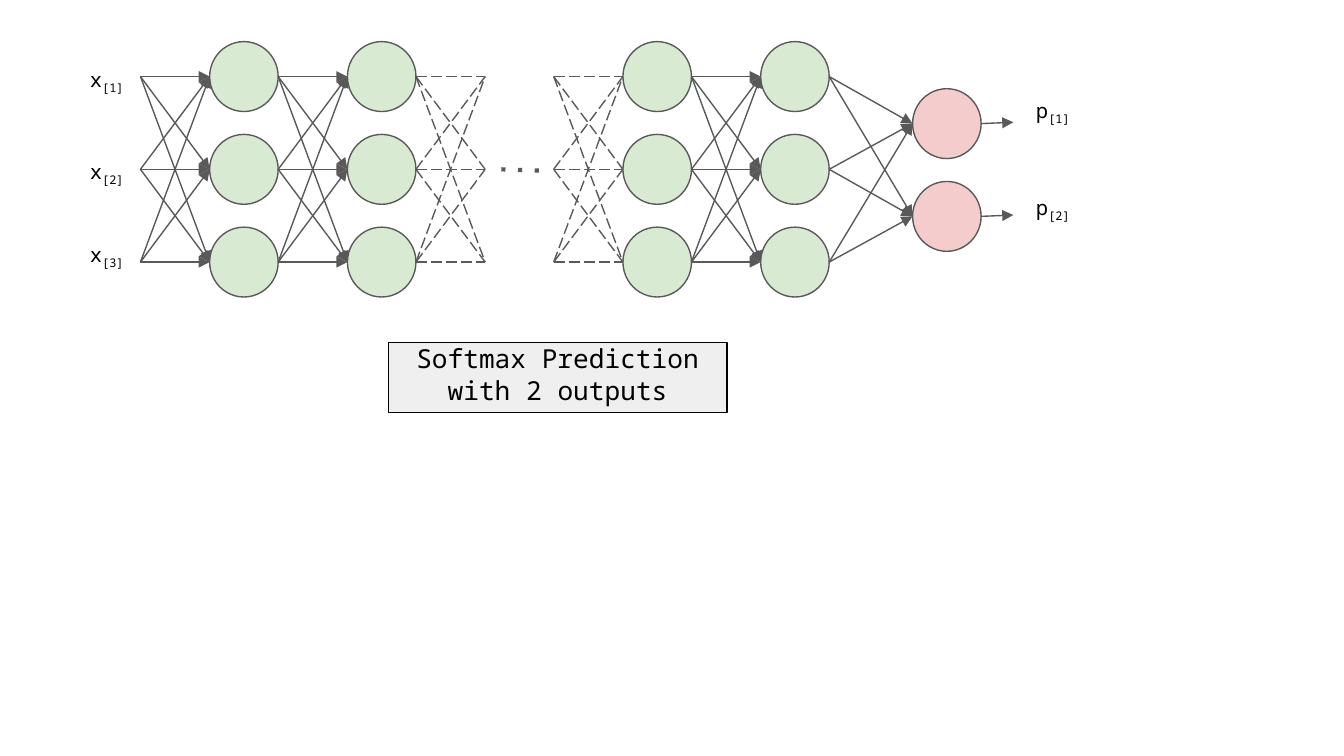
from dataclasses import dataclass
from itertools import product

from lxml import etree
from pptx import Presentation, util as u
from pptx.dml.color import RGBColor
from pptx.enum import shapes as sh, text as tx
from pptx.oxml import ns


@dataclass(frozen=True)
class Theme:
    font: str = "Noto Sans Mono"
    ink: str = "000000"
    edge: str = "595959"
    green: str = "D9EAD3"
    pink: str = "F4CCCC"
    gray: str = "EFEFEF"
    label: float = 11
    note: float = 14
    thin: float = 0.75
    thick: float = 2.25


@dataclass(frozen=True)
class Layer:
    left: float
    rows: tuple[float, ...]
    fill: str

    @property
    def right(self) -> float:
        return self.left + WIDE


@dataclass(frozen=True)
class Label:
    name: str
    index: int
    left: float
    top: float


@dataclass(frozen=True)
class Mesh:
    start: float
    end: float
    tops: tuple[float, ...]
    ends: tuple[float, ...]
    solid: bool = True


T = Theme()
WIDE, HIGH = 0.51, 0.52    # neuron size
PITCH = 4.1 / 4            # step from layer to layer
GAP = PITCH - WIDE         # space between layers
ROWS = (0.57, 1.26, 1.95)  # neuron centres
OUTS = (0.92, 1.61)

HIDDEN = [Layer(1.56 + PITCH * k, ROWS, T.green) for k in (0, 1, 3, 4)]
OUTPUT = Layer(6.79, OUTS, T.pink)
ONE, TWO, THREE, FOUR = HIDDEN

MESHES = [
    Mesh(ONE.left - GAP, ONE.left, ROWS, ROWS),
    Mesh(ONE.right, TWO.left, ROWS, ROWS),
    Mesh(TWO.right, TWO.right + GAP, ROWS, ROWS, solid=False),
    Mesh(THREE.left - GAP, THREE.left, ROWS, ROWS, solid=False),
    Mesh(THREE.right, FOUR.left, ROWS, ROWS),
    Mesh(FOUR.right, OUTPUT.left, ROWS, OUTS),
]

LABELS = [
    Label("x", 1, 0.57, 0.5),
    Label("x", 2, 0.57, 1.18),
    Label("x", 3, 0.57, 1.8),
    Label("p", 1, 7.61, 0.73),
    Label("p", 2, 7.61, 1.45),
]


def add_box(slide, kind, left: float, top: float, wide: float, high: float,
            fill: str, edge: str):
    box = slide.shapes.add_shape(kind, *map(u.Inches, (left, top, wide, high)))
    box.shadow.inherit = False
    box.fill.solid()
    box.fill.fore_color.rgb = RGBColor.from_string(fill)
    box.line.color.rgb = RGBColor.from_string(edge)
    box.line.width = u.Pt(T.thin)
    return box


def add_line(slide, x1: float, y1: float, x2: float, y2: float,
             dash: str = "", head: bool = False, width: float = T.thin) -> None:
    line = slide.shapes.add_connector(
        sh.MSO_CONNECTOR.STRAIGHT, *map(u.Inches, (x1, y1, x2, y2)))
    line.line.color.rgb = RGBColor.from_string(T.edge)
    line.line.width = u.Pt(width)
    pen = line.line._get_or_add_ln()
    if dash:
        etree.SubElement(pen, ns.qn("a:prstDash"), val=dash)
    if head:
        etree.SubElement(pen, ns.qn("a:tailEnd"), type="triangle")
    etree.SubElement(line._element.spPr, ns.qn("a:effectLst"))


def set_frame(frame) -> None:
    frame.word_wrap = True
    frame.vertical_anchor = tx.MSO_ANCHOR.TOP
    frame.margin_left = frame.margin_right = u.Inches(0.1)
    frame.margin_top = frame.margin_bottom = 0


def add_run(para, words: str, size: float, base: int = 0) -> None:
    run = para.add_run()
    run.text = words
    run.font.name = T.font
    run.font.size = u.Pt(size)
    run.font.color.rgb = RGBColor.from_string(T.ink)
    if base:
        run.font._element.set("baseline", str(base * 1000))


def add_label(slide, label: Label) -> None:
    box = slide.shapes.add_textbox(
        *map(u.Inches, (label.left, label.top, 0.51, 0.31)))
    set_frame(box.text_frame)
    para = box.text_frame.paragraphs[0]
    add_run(para, label.name, T.label)
    add_run(para, f"[{label.index}]", T.label, base=-25)


def add_layer(slide, layer: Layer) -> None:
    for mid in layer.rows:
        add_box(slide, sh.MSO_SHAPE.OVAL, layer.left, mid - HIGH / 2,
                WIDE, HIGH, layer.fill, T.edge)


def add_mesh(slide, mesh: Mesh) -> None:
    for y1, y2 in product(mesh.tops, mesh.ends):
        add_line(slide, mesh.start, y1, mesh.end, y2,
                 dash="" if mesh.solid else "lgDash", head=mesh.solid)


def add_note(slide, words: str) -> None:
    box = add_box(slide, sh.MSO_SHAPE.RECTANGLE, 2.89, 2.55, 2.52, 0.52,
                  T.gray, T.ink)
    set_frame(box.text_frame)
    para = box.text_frame.paragraphs[0]
    para.alignment = tx.PP_ALIGN.CENTER
    add_run(para, words, T.note)


def main() -> None:
    # Wide 16:9 page
    deck = Presentation()
    deck.slide_width = u.Inches(10)
    deck.slide_height = u.Inches(10 * 9 / 16)
    slide = deck.slides.add_slide(deck.slide_layouts[6])

    # Neurons and the links between layers
    for layer in (*HIDDEN, OUTPUT):
        add_layer(slide, layer)
    for mesh in MESHES:
        add_mesh(slide, mesh)

    # Output arrows and labels
    for mid in OUTS:
        add_line(slide, OUTPUT.right, mid, 7.54, mid - 0.01, head=True)
    for label in LABELS:
        add_label(slide, label)

    # Caption and the dots for omitted layers
    add_note(slide, "Softmax Prediction with 2 outputs")
    add_line(slide, 3.73, 1.26, 4.02, 1.27, dash="dot", width=T.thick)

    deck.save("out.pptx")


if __name__ == "__main__":
    main()
